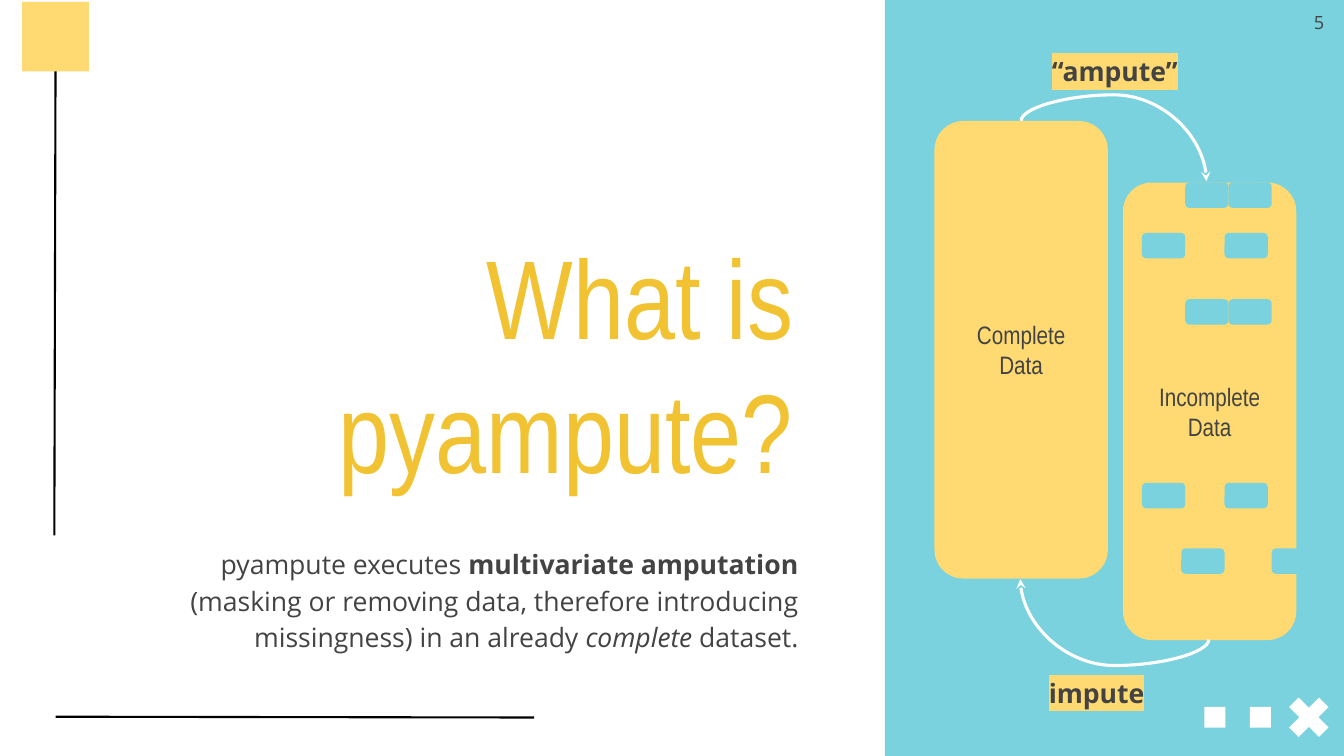
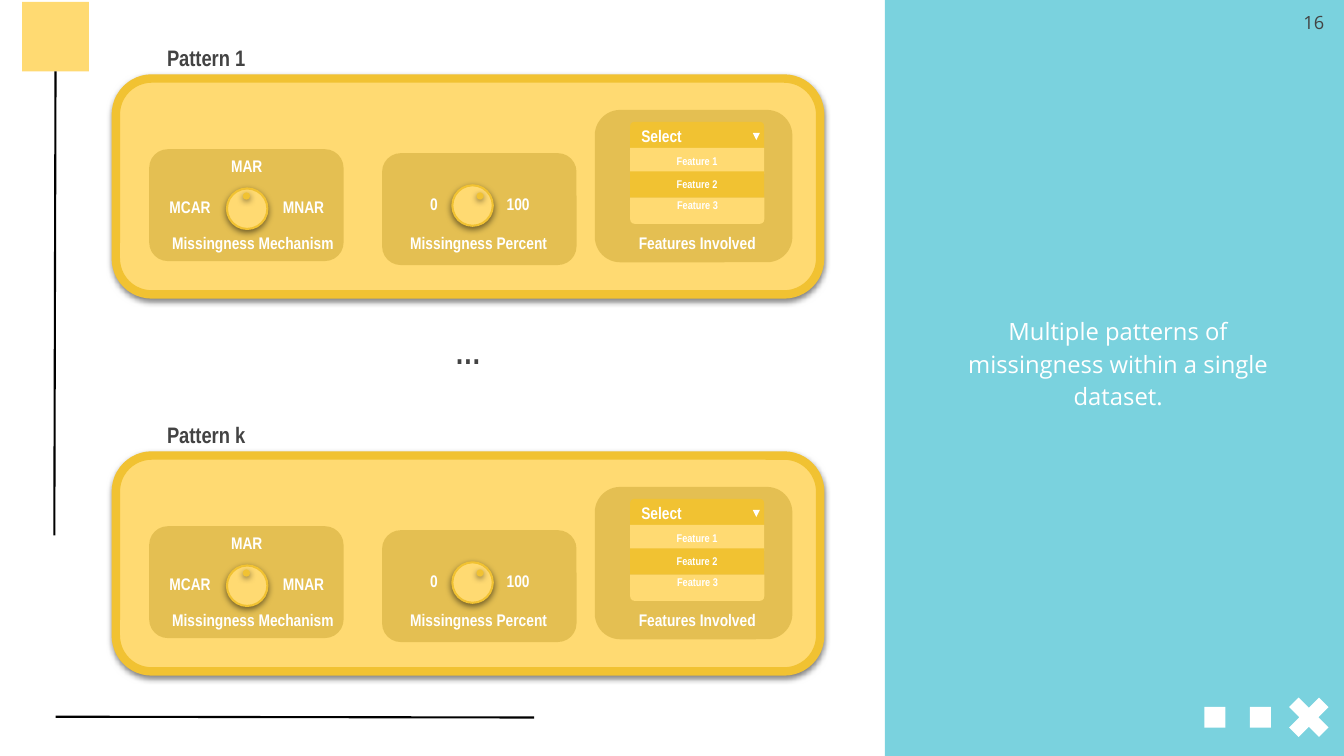
from dataclasses import dataclass, replace
from typing import NamedTuple

from lxml.etree import SubElement
from pptx import Presentation
from pptx.dml.color import RGBColor
from pptx.enum.shapes import MSO_CONNECTOR, MSO_SHAPE
from pptx.enum.text import MSO_ANCHOR, PP_ALIGN
from pptx.oxml.ns import qn
from pptx.shapes.autoshape import Shape
from pptx.shapes.connector import Connector
from pptx.slide import Slide
from pptx.text.text import TextFrame
from pptx.util import Cm, Pt

COLORS = {
    "teal": "7AD2DE",
    "yellow": "FFDA72",
    "gold": "F1C232",
    "ochre": "C7A22F",
    "ink": "434343",
    "white": "FFFFFF",
    "black": "000000",
}
NARROW, SANS = "Arial Narrow", "Open Sans"
LEFT, CENTER, RIGHT = PP_ALIGN.LEFT, PP_ALIGN.CENTER, PP_ALIGN.RIGHT


class Box(NamedTuple):
    """A place on the slide, in centimetres."""
    left: float
    top: float
    width: float
    height: float

    def lengths(self) -> list[Cm]:
        return [Cm(value) for value in self]

    def down(self, distance: float) -> "Box":
        return self._replace(top=self.top + distance)


class Part(NamedTuple):
    text: str
    bold: bool = False
    italic: bool = False


@dataclass(frozen=True)
class TextStyle:
    size: float
    font: str = NARROW
    color: str = "ink"
    bold: bool = False
    align: PP_ALIGN = CENTER
    inset: float = 0.25
    line_spacing: float | None = None
    before: float = 0
    after: float = 0
    highlight: str | None = None


class Label(NamedTuple):
    text: str
    left: float
    top: float
    width: float
    align: PP_ALIGN = CENTER


class Knob(NamedTuple):
    dial: Box
    dot: Box


class Arrow(NamedTuple):
    frame: Box
    rotation: int


TITLE = TextStyle(80, color="gold", align=RIGHT, inset=0.33)
BODY = TextStyle(19, SANS, align=RIGHT, inset=0.33, line_spacing=1.15, after=21)
PAGE_NUMBER = TextStyle(13, SANS, align=RIGHT, inset=0.33)
CARD = TextStyle(18)
ACTION = TextStyle(19, SANS, bold=True, line_spacing=1.15, after=21, highlight="yellow")
CAPTION = TextStyle(17, SANS, "white", line_spacing=1.15, before=10, after=10)
CONTROL = TextStyle(12, color="white", bold=True)
OPTION = replace(CONTROL, size=8)
PATTERN = TextStyle(16, bold=True, align=LEFT)
ELLIPSIS = TextStyle(23, bold=True)

CARDS = {
    "Complete Data": Box(23.55, 3.05, 4.37, 11.53),
    "Incomplete Data": Box(28.3, 4.6, 4.37, 11.53),
}
MISSING_CELLS = {
    4.6: (29.87, 30.96),
    5.87: (28.78, 30.86),
    7.54: (29.87, 30.96),
    12.17: (28.78, 30.86),
    13.82: (29.77, 32.05),
}
ARROWS = (
    Arrow(Box(27.31, 1.47, 1.52, 4.67), 270),
    Arrow(Box(27.33, 12.98, 1.52, 4.75), 90),
)
ACTIONS = {
    "“ampute”": Box(26.19, 1.02, 3.81, 1.32),
    "impute": Box(25.73, 16.69, 3.81, 1.32),
}

# Tops in a pattern panel are measured from the top of its frame.
PANEL_FRAME = Box(2.92, 0, 17.75, 5.44)
CONTROL_AREAS = (
    Box(3.76, 1.78, 4.9, 2.82),
    Box(9.63, 1.88, 4.9, 2.82),
    Box(14.99, 0.79, 4.98, 3.84),
)
KNOBS = (
    Knob(Box(5.72, 2.77, 1.02, 1.02), Box(6.12, 2.87, 0.18, 0.18)),
    Knob(Box(11.4, 2.69, 1.02, 1.02), Box(12.01, 2.87, 0.18, 0.18)),
)
CONTROL_LABELS = (
    Label("MAR", 5.56, 1.7, 1.32),
    Label("MCAR", 3.96, 2.72, 1.6, RIGHT),
    Label("MNAR", 6.88, 2.72, 1.6, LEFT),
    Label("Missingness Mechanism", 3.76, 3.63, 4.9, RIGHT),
    Label("0", 10.57, 2.64, 0.71, RIGHT),
    Label("100", 12.52, 2.64, 1.6, LEFT),
    Label("Missingness Percent", 9.98, 3.63, 4.17),
    Label("Features Involved", 15.49, 3.63, 4.17),
)
MENU_ROW = Box(15.88, 0, 3.38, 0.66)


def rgb(color: str) -> RGBColor:
    return RGBColor.from_string(COLORS[color])


def write(frame: TextFrame, parts: list[Part], style: TextStyle,
          anchor: MSO_ANCHOR = MSO_ANCHOR.TOP) -> None:
    frame.word_wrap = True
    frame.vertical_anchor = anchor
    frame.margin_left = frame.margin_right = Cm(style.inset)
    frame.margin_top = frame.margin_bottom = Cm(style.inset)
    paragraph = frame.paragraphs[0]
    paragraph.alignment = style.align
    paragraph.line_spacing = style.line_spacing
    paragraph.space_before, paragraph.space_after = Pt(style.before), Pt(style.after)
    for part in parts:
        run = paragraph.add_run()
        run.text = part.text
        run.font.name = style.font
        run.font.size = Pt(style.size)
        run.font.bold = style.bold or part.bold
        run.font.italic = part.italic
        run.font.color.rgb = rgb(style.color)
        if style.highlight:
            properties = run.font.fill._xPr
            highlight = SubElement(properties, qn("a:highlight"))
            SubElement(highlight, qn("a:srgbClr"), val=COLORS[style.highlight])
            properties.find(qn("a:solidFill")).addnext(highlight)


def add_text(slide: Slide, box: Box, text: str | list[Part], style: TextStyle,
             anchor: MSO_ANCHOR = MSO_ANCHOR.TOP) -> None:
    parts = [Part(text)] if isinstance(text, str) else text
    write(slide.shapes.add_textbox(*box.lengths()).text_frame, parts, style, anchor)


def add_block(slide: Slide, box: Box, fill: str, kind: MSO_SHAPE = MSO_SHAPE.RECTANGLE,
              text: str = "", style: TextStyle = CONTROL, outline: float = 0,
              rotation: float = 0) -> Shape:
    """Draw a filled shape; a positive outline is a gold line in points."""
    block = slide.shapes.add_shape(kind, *box.lengths())
    block.shadow.inherit = False
    block.rotation = rotation
    block.fill.solid()
    block.fill.fore_color.rgb = rgb(fill)
    if outline:
        block.line.color.rgb = rgb("gold")
        block.line.width = Pt(outline)
    else:
        block.line.fill.background()
    if text:
        write(block.text_frame, [Part(text)], style, MSO_ANCHOR.MIDDLE)
    return block


def cast_shadow(block: Shape) -> None:
    effects = block.element.spPr.find(qn("a:effectLst"))
    shadow = SubElement(effects, qn("a:outerShdw"), blurRad=str(Pt(4.5)),
                        dist=str(Pt(1.5)), dir="5400000", algn="bl", rotWithShape="0")
    color = SubElement(shadow, qn("a:srgbClr"), val=COLORS["black"])
    SubElement(color, qn("a:alpha"), val="50000")


def make_translucent(block: Shape, percent: int) -> None:
    color = block.element.spPr.find(qn("a:solidFill")).find(qn("a:srgbClr"))
    SubElement(color, qn("a:alpha"), val=str(percent * 1000))


def add_line(slide: Slide, box: Box, color: str, width: float,
             kind: MSO_CONNECTOR = MSO_CONNECTOR.STRAIGHT) -> Connector:
    left, top, across, down = box.lengths()
    line = slide.shapes.add_connector(kind, left, top, left + across, top + down)
    line.line.color.rgb = rgb(color)
    line.line.width = Pt(width)
    SubElement(line.element.spPr, qn("a:effectLst"))
    return line


def add_curved_arrow(slide: Slide, arrow: Arrow) -> None:
    curve = add_line(slide, arrow.frame, "white", 2.25, MSO_CONNECTOR.CURVE)
    SubElement(curve.get_or_add_ln(), qn("a:tailEnd"), type="stealth")
    properties = curve.element.spPr
    placement = properties.find(qn("a:xfrm"))
    placement.set("rot", str(arrow.rotation * 60000))
    placement.set("flipH", "1")
    geometry = properties.find(qn("a:prstGeom"))
    guides = geometry.find(qn("a:avLst"))
    if guides is None:
        guides = SubElement(geometry, qn("a:avLst"))
    SubElement(guides, qn("a:gd"), name="adj1", fmla="val -43100")


def add_base(deck: Presentation, number: int) -> Slide:
    """Add a slide with the side panel, corner marks, rules and page number."""
    slide = deck.slides.add_slide(deck.slide_layouts[6])
    add_block(slide, Box(22.3, 0, 11.57, 19.05), "teal")
    cross = add_block(slide, Box(32.26, 17.35, 1.45, 1.45), "white", MSO_SHAPE.MATH_MULTIPLY)
    cross.adjustments[0] = 0.235
    for left in (30.35, 31.5):
        add_block(slide, Box(left, 17.81, 0.53, 0.53), "white")
    add_block(slide, Box(0.56, 0.05, 1.68, 1.75), "yellow")
    add_line(slide, Box(1.4, 1.8, -0.03, 11.69), "black", 1.5)
    add_line(slide, Box(1.4, 18.06, 12.06, 0.02), "black", 1.5)
    add_text(slide, Box(31.67, 0, 2.03, 1.45), str(number), PAGE_NUMBER)
    return slide


def add_menu(slide: Slide, top: float) -> None:
    rounded = MSO_SHAPE.ROUND_2_SAME_RECTANGLE
    add_block(slide, MENU_ROW.down(top + 1.09), "gold", rounded, "Select",
              replace(CONTROL, align=LEFT))
    add_block(slide, MENU_ROW.down(top + 1.75), "yellow", text="Feature 1", style=OPTION)
    add_block(slide, MENU_ROW.down(top + 2.34), "gold", text="Feature 2", style=OPTION)
    add_block(slide, MENU_ROW.down(top + 3), "yellow", rounded, rotation=180)
    add_text(slide, Box(15.98, top + 2.84, 3.2, 0.86), "Feature 3", OPTION)
    add_block(slide, Box(18.97, top + 1.37, 0.18, 0.18), "white",
              MSO_SHAPE.ISOSCELES_TRIANGLE, rotation=180)


def add_pattern(slide: Slide, name: str, top: float) -> None:
    rounded = MSO_SHAPE.ROUNDED_RECTANGLE
    cast_shadow(add_block(slide, PANEL_FRAME.down(top), "yellow", rounded, outline=6))
    for area in CONTROL_AREAS:
        make_translucent(add_block(slide, area.down(top), "ochre", rounded), 47)
    for knob in KNOBS:
        cast_shadow(add_block(slide, knob.dial.down(top), "yellow", MSO_SHAPE.OVAL, outline=1.5))
        cast_shadow(add_block(slide, knob.dot.down(top), "gold", MSO_SHAPE.OVAL))
    for label in CONTROL_LABELS:
        add_text(slide, Box(label.left, top + label.top, label.width, 1.02), label.text,
                 replace(CONTROL, align=label.align))
    add_menu(slide, top)
    add_text(slide, Box(3.96, top - 1.12, 4.9, 1.19), name, PATTERN)


def build_definition(deck: Presentation) -> None:
    slide = add_base(deck, 5)
    add_text(slide, Box(3.2, 4.04, 17.12, 8.79), "What is pyampute?", TITLE, MSO_ANCHOR.BOTTOM)
    add_text(slide, Box(3.33, 13.36, 17.12, 4.34), [
        Part("pyampute executes "),
        Part("multivariate amputation", bold=True),
        Part(" (masking or removing data, therefore introducing missingness) in an already "),
        Part("complete", italic=True),
        Part(" dataset."),
    ], BODY)
    for name, box in CARDS.items():
        add_block(slide, box, "yellow", MSO_SHAPE.ROUNDED_RECTANGLE, name, CARD)
    for top, lefts in MISSING_CELLS.items():
        for left in lefts:
            add_block(slide, Box(left, top, 1.09, 0.64), "teal", MSO_SHAPE.ROUNDED_RECTANGLE)
    for arrow in ARROWS:
        add_curved_arrow(slide, arrow)
    for action, box in ACTIONS.items():
        add_text(slide, box, action, ACTION)


def build_patterns(deck: Presentation) -> None:
    slide = add_base(deck, 16)
    for name, top in (("Pattern 1", 1.98), ("Pattern k", 11.48)):
        add_pattern(slide, name, top)
    add_text(slide, Box(9.35, 8.13, 4.9, 1.5), "…", ELLIPSIS)
    add_text(slide, Box(23.67, 7.62, 9.02, 2.92),
             "Multiple patterns of missingness within a single dataset.", CAPTION)


def main() -> None:
    deck = Presentation()
    deck.slide_width, deck.slide_height = Cm(33.87), Cm(19.05)
    build_definition(deck)
    build_patterns(deck)
    deck.save("out.pptx")


if __name__ == "__main__":
    main()
